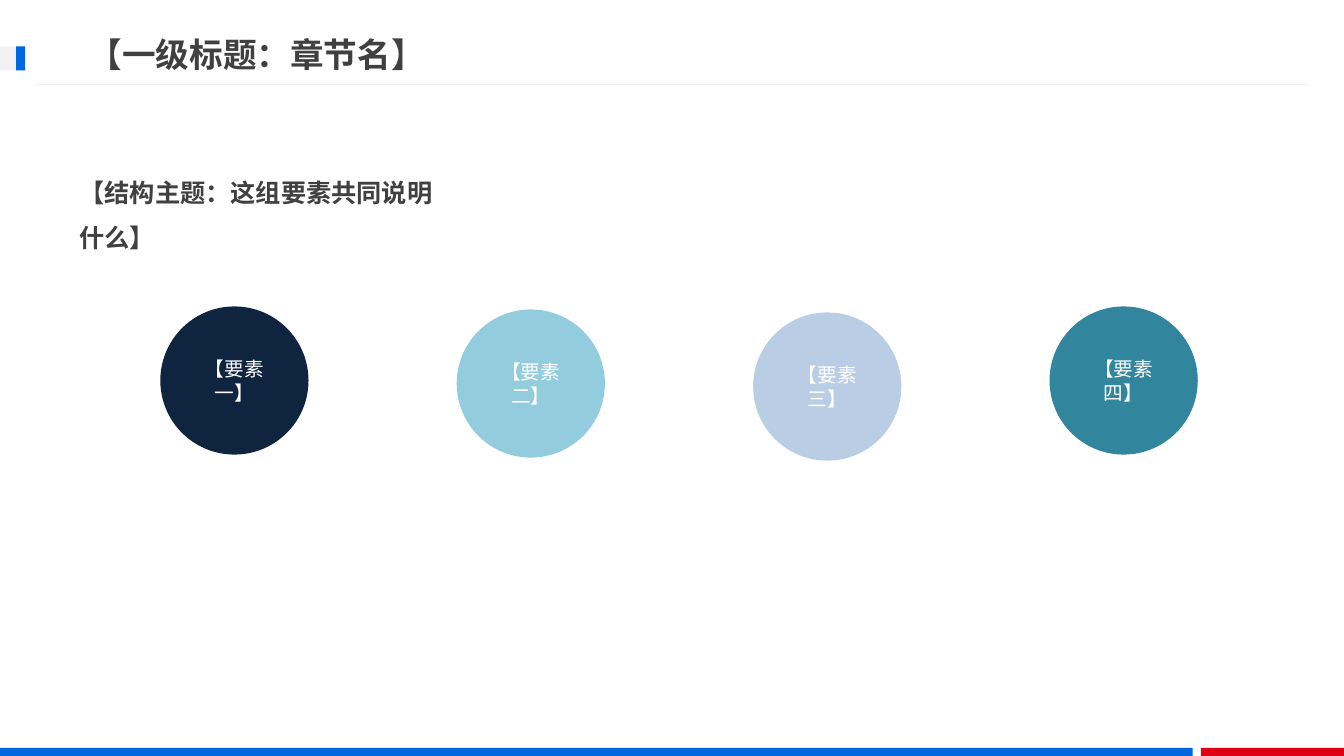
from pptx import Presentation
from pptx.dml.color import RGBColor
from pptx.enum.shapes import MSO_CONNECTOR as Connector, MSO_SHAPE as Shape
from pptx.enum.text import MSO_ANCHOR as Anchor, MSO_AUTO_SIZE as AutoSize, PP_ALIGN as Align
from pptx.oxml.ns import qn
from pptx.util import Inches, Pt
from lxml.etree import SubElement

BLUE = RGBColor(0x00, 0x67, 0xE1)
RED = RGBColor(0xDE, 0x00, 0x14)
PALE_GREY = RGBColor(0xF2, 0xF2, 0xF2)
DARK_GREY = RGBColor(0x40, 0x40, 0x40)
WHITE = RGBColor(0xFF, 0xFF, 0xFF)
NAVY = RGBColor(0x0F, 0x24, 0x3E)
AQUA = RGBColor(0x93, 0xCD, 0xDD)
LAVENDER = RGBColor(0xB9, 0xCD, 0xE5)
TEAL = RGBColor(0x31, 0x85, 0x9C)
FONT = "Noto Sans CJK JP"

prs = Presentation()
prs.slide_width, prs.slide_height = Inches(13.33), Inches(7.5)
slide = prs.slides.add_slide(prs.slide_layouts.get_by_name("Title Only"))


def add_filled(kind, left, top, width, height, color):
    shape = slide.shapes.add_shape(
        kind, Inches(left), Inches(top), Inches(width), Inches(height))
    shape.shadow.inherit = False
    shape.fill.solid()
    shape.fill.fore_color.rgb = color
    shape.line.fill.background()
    return shape


def write(frame, text, size, color, bold=False, align=Align.LEFT):
    frame.text = text
    frame.word_wrap = True
    paragraph = frame.paragraphs[0]
    paragraph.alignment = align
    run = paragraph.runs[0]
    run.font.size = Pt(size)
    run.font.bold = bold
    run.font.color.rgb = color
    run.font.name = FONT
    # Chinese characters take the East Asian typeface
    SubElement(run.font._element, qn("a:ea")).set("typeface", FONT)


# Footer bars and header marker
for left, top, width, height, color in [
    (11.91, 7.42, 1.42, 0.08, RED),
    (0, 7.42, 11.83, 0.08, BLUE),
    (0, 0.46, 0.25, 0.24, PALE_GREY),
    (0.16, 0.46, 0.09, 0.24, BLUE),
]:
    add_filled(Shape.RECTANGLE, left, top, width, height, color)

# Rule under the header
header_rule = slide.shapes.add_connector(
    Connector.STRAIGHT, Inches(12.98), Inches(0.84), Inches(0.35), Inches(0.84))
header_rule.line.color.rgb = PALE_GREY
header_rule.line.width = Pt(0.75)
SubElement(header_rule._element.spPr, qn("a:effectLst"))

# Chapter title
title = slide.shapes.title
title.left, title.top = Inches(0.78), Inches(0.25)
title.width, title.height = Inches(9.59), Inches(0.57)
write(title.text_frame, "【一级标题：章节名】", 24, DARK_GREY, bold=True)
title.text_frame.vertical_anchor = Anchor.MIDDLE
title.text_frame.auto_size = AutoSize.NONE

# Four elements, evenly spaced
elements = [
    ("【要素一】", 3.04, NAVY),
    ("【要素二】", 3.07, AQUA),
    ("【要素三】", 3.1, LAVENDER),
    ("【要素四】", 3.04, TEAL),
]
for index, (label, top, color) in enumerate(elements):
    circle = add_filled(Shape.OVAL, 1.59 + 2.94 * index, top, 1.47, 1.47, color)
    write(circle.text_frame, label, 14, WHITE, align=Align.CENTER)
    circle.text_frame.vertical_anchor = Anchor.MIDDLE

# Theme statement
theme = slide.shapes.add_textbox(Inches(0.69), Inches(1.56), Inches(3.84), Inches(0.5))
write(theme.text_frame, "【结构主题：这组要素共同说明什么】", 18, DARK_GREY, bold=True)
theme.text_frame.paragraphs[0].line_spacing = 1.5
theme.text_frame.auto_size = AutoSize.SHAPE_TO_FIT_TEXT

prs.save("out.pptx")
